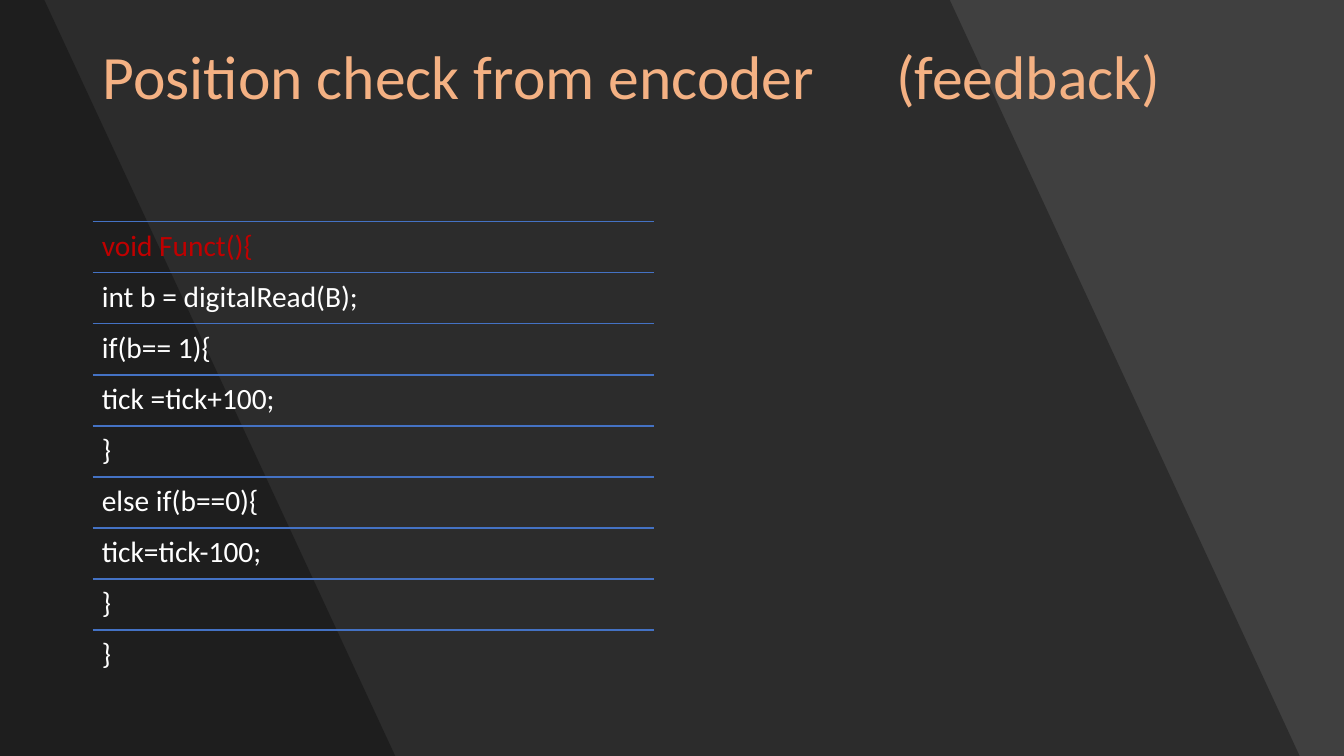
from lxml import etree
from pptx import Presentation
from pptx.dml.color import RGBColor
from pptx.enum.shapes import MSO_CONNECTOR
from pptx.oxml.ns import qn
from pptx.util import Inches, Pt

STRAIGHT = MSO_CONNECTOR.STRAIGHT

BACKGROUND = RGBColor(0x40, 0x40, 0x40)
SHADE = RGBColor(0x00, 0x00, 0x00)
TITLE_COLOR = RGBColor(0xF4, 0xB1, 0x83)
SIGNATURE_COLOR = RGBColor(0xC0, 0x00, 0x00)
CODE_COLOR = RGBColor(0xFF, 0xFF, 0xFF)
RULE_COLOR = RGBColor(0x44, 0x72, 0xC4)

SLIDE_HEIGHT = 7.5
CODE_LEFT, CODE_TOP, CODE_WIDTH = 0.92, 2.2, 5.57
ROW_PITCH = 4.05 / 8
CODE_LINES = [
    "void Funct(){",
    "int b = digitalRead(B);",
    "if(b== 1){",
    "tick =tick+100;",
    "}",
    "else if(b==0){",
    "tick=tick-100;",
    "}",
    "}",
]


def add_slanted_shade(slide, top_width, bottom_width):
    """Darken the area left of a slanted edge with 30% black."""
    builder = slide.shapes.build_freeform(0, 0)
    corners = [(top_width, 0), (bottom_width, SLIDE_HEIGHT), (0, SLIDE_HEIGHT)]
    builder.add_line_segments([(Inches(x), Inches(y)) for x, y in corners])
    shade = builder.convert_to_shape()
    shade.shadow.inherit = False
    shade.line.fill.background()
    shade.fill.solid()
    shade.fill.fore_color.rgb = SHADE
    color = shade.fill._xPr.find(qn("a:solidFill"))[0]
    etree.SubElement(color, qn("a:alpha"), val="30000")


def add_text(slide, text, left, top, width, height, *, size, color,
             inset_x, inset_y, tab=None):
    box = slide.shapes.add_textbox(
        Inches(left), Inches(top), Inches(width), Inches(height))
    frame = box.text_frame
    frame.word_wrap = True
    frame.margin_left = frame.margin_right = Inches(inset_x)
    frame.margin_top = frame.margin_bottom = Inches(inset_y)
    paragraph = frame.paragraphs[0]
    if tab is not None:
        tabs = etree.SubElement(
            paragraph._p.get_or_add_pPr(), qn("a:tabLst"))
        etree.SubElement(tabs, qn("a:tab"), pos=str(Inches(tab)), algn="l")
    paragraph.line_spacing = 0.9
    run = paragraph.add_run()
    run.text = text
    run.font.name = "Calibri"
    run.font.size = Pt(size)
    run.font.color.rgb = color


def add_rule(slide, left, top, width):
    rule = slide.shapes.add_connector(
        STRAIGHT, Inches(left), Inches(top), Inches(left + width), Inches(top))
    rule.line.color.rgb = RULE_COLOR
    rule.line.width = Pt(1)
    etree.SubElement(rule._element.spPr, qn("a:effectLst"))


def add_code_rows(slide):
    for row, code in enumerate(CODE_LINES):
        top = CODE_TOP + row * ROW_PITCH
        add_rule(slide, CODE_LEFT, top, CODE_WIDTH)
        add_text(slide, code, CODE_LEFT, top, CODE_WIDTH, ROW_PITCH, size=21,
                 color=CODE_COLOR if row else SIGNATURE_COLOR,
                 inset_x=0.09, inset_y=0.09)


def main():
    presentation = Presentation()
    presentation.slide_width = Inches(13.33)
    presentation.slide_height = Inches(SLIDE_HEIGHT)
    slide = presentation.slides.add_slide(presentation.slide_layouts[6])
    slide.background.fill.solid()
    slide.background.fill.fore_color.rgb = BACKGROUND

    add_slanted_shade(slide, 9.42, 12.89)
    add_slanted_shade(slide, 0.44, 3.92)
    add_text(slide, "Position check from encoder\t(feedback)",
             0.92, 0.4, 11.5, 1.45, size=44, color=TITLE_COLOR,
             inset_x=0.1, inset_y=0.06, tab=7.87)
    add_code_rows(slide)
    presentation.save("out.pptx")


if __name__ == "__main__":
    main()
